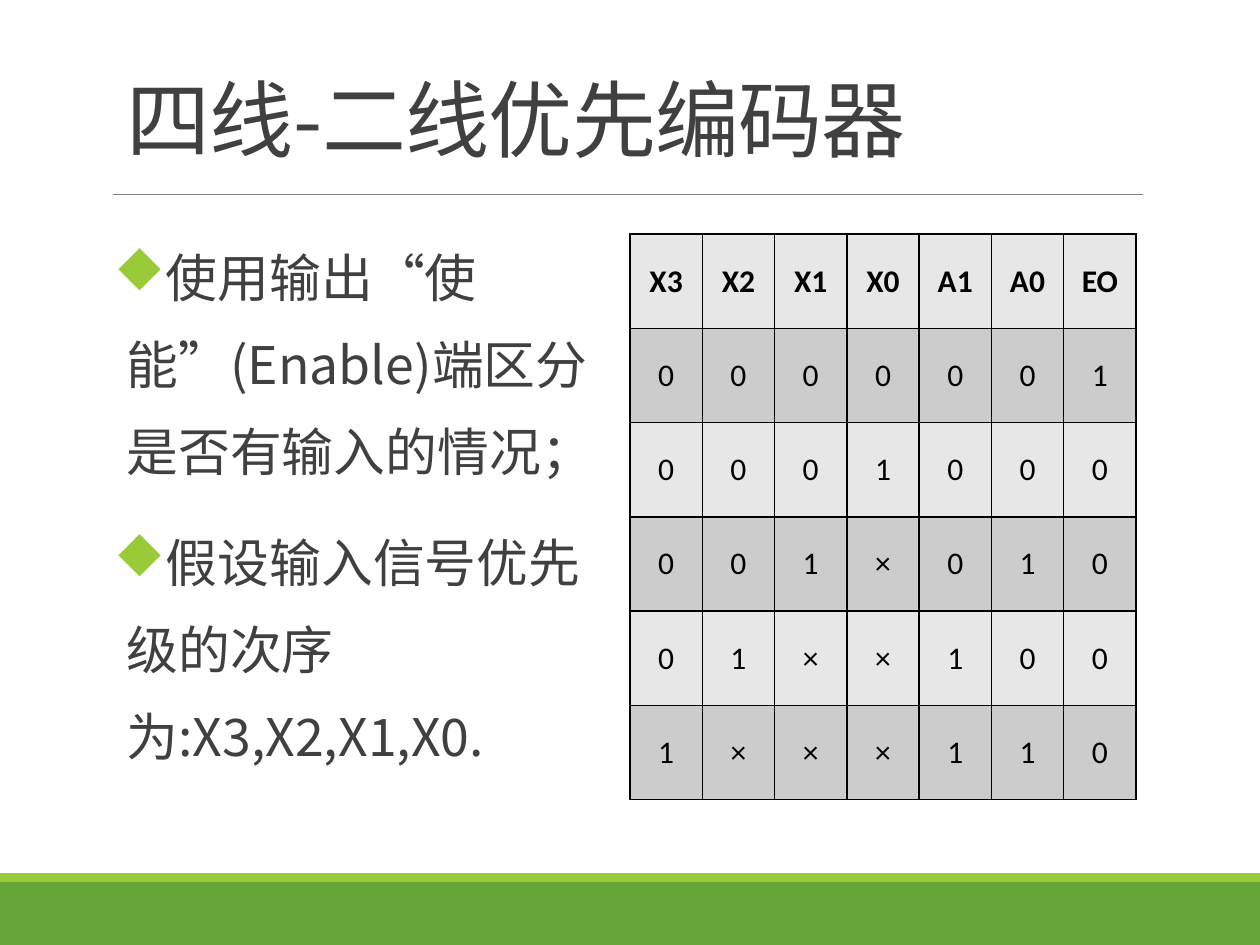
from lxml import etree
from pptx import Presentation
from pptx.dml.color import RGBColor
from pptx.enum.shapes import MSO_CONNECTOR, MSO_SHAPE
from pptx.enum.text import MSO_ANCHOR as ANCHOR, PP_ALIGN as ALIGN
from pptx.oxml.ns import qn
from pptx.util import Cm, Pt

# Content
TITLE = "四线-二线优先编码器"
POINTS = [
    "使用输出“使能”(Enable)端区分是否有输入的情况；",
    "假设输入信号优先级的次序为:X3,X2,X1,X0.",
]
TRUTH_TABLE = [
    "X3 X2 X1 X0 A1 A0 EO",
    "0 0 0 0 0 0 1",
    "0 0 0 1 0 0 0",
    "0 0 1 × 0 1 0",
    "0 1 × × 1 0 0",
    "1 × × × 1 1 0",
]
CJK, LATIN = "Noto Sans CJK SC", "Calibri"
GREEN, LIME, TEXT = "63A537", "99CB38", "404040"
BANDS = ["E7E7E7", "CCCCCC"]


def color(value):
    return RGBColor.from_string(value)


def sub(parent, tag, **attrs):
    return etree.SubElement(parent, qn(tag), attrs)


def style(p, size, font, value, bold=False):
    for r in p.runs:
        r.font.size, r.font.name, r.font.bold = Pt(size), font, bold
        r.font.color.rgb = color(value)
        sub(r._r.get_or_add_rPr(), "a:ea", typeface=font)


def add_band(slide, top, height, value):
    sp = slide.shapes.add_shape(MSO_SHAPE.RECTANGLE, 0, Cm(top), Cm(25.4), Cm(height))
    sp.shadow.inherit = False
    sp.fill.solid()
    sp.fill.fore_color.rgb = color(value)
    sp.line.fill.background()


def add_text(slide, left, top, width, height):
    tf = slide.shapes.add_textbox(Cm(left), Cm(top), Cm(width), Cm(height)).text_frame
    tf.word_wrap = True
    return tf


def add_bullet(p):
    pPr = p._p.get_or_add_pPr()
    pPr.set("marL", str(Cm(0.25)))
    pPr.set("indent", str(-Cm(0.25)))
    sub(sub(pPr, "a:buClr"), "a:srgbClr", val=LIME)
    # In this symbol font the letter u is a solid diamond
    sub(pPr, "a:buFont", typeface="Wingdings", pitchFamily="2", charset="2")
    sub(pPr, "a:buChar", char="u")


def add_borders(cell):
    tcPr = cell._tc.get_or_add_tcPr()
    for i, side in enumerate(("a:lnL", "a:lnR", "a:lnT", "a:lnB")):
        ln = etree.Element(qn(side), w=str(Pt(1)))
        sub(sub(ln, "a:solidFill"), "a:srgbClr", val="000000")
        tcPr.insert(i, ln)


prs = Presentation()
prs.slide_width, prs.slide_height = Cm(25.4), Cm(19.05)
s = prs.slides.add_slide(prs.slide_layouts[6])

# Footer bands and title rule
add_band(s, 17.78, 1.27, GREEN)
add_band(s, 17.6, 0.18, LIME)
rule = s.shapes.add_connector(MSO_CONNECTOR.STRAIGHT, Cm(2.28), Cm(3.92), Cm(23.04), Cm(3.92))
rule.line.color.rgb = color("808080")
rule.line.width = Pt(0.5)
sub(rule._element.spPr, "a:effectLst")

# Title
tf = add_text(s, 2.3, 0.79, 20.95, 2.74)
tf.vertical_anchor = ANCHOR.BOTTOM
tf.text = TITLE
p = tf.paragraphs[0]
p.line_spacing = 0.85
style(p, 48, CJK, TEXT)
p.runs[0]._r.rPr.set("spc", "-50")

# Bullet points
tf = add_text(s, 2.3, 4.32, 9.8, 11.4)
tf.margin_left = tf.margin_right = 0
tf.text = "\n".join(POINTS)
for i, p in enumerate(tf.paragraphs):
    add_bullet(p)
    p.line_spacing = 1.4
    p.space_before, p.space_after = Pt(12 if i else 0), Pt(2)
    style(p, 29.6, CJK, TEXT)

# Truth table
rows = [line.split() for line in TRUTH_TABLE]
table = s.shapes.add_table(len(rows), len(rows[0]), Cm(12.7), Cm(4.72),
                           Cm(10.2), Cm(11.4)).table
for i, row in enumerate(rows):
    for j, value in enumerate(row):
        cell = table.cell(i, j)
        cell.text = value
        cell.vertical_anchor = ANCHOR.MIDDLE
        cell.fill.solid()
        cell.fill.fore_color.rgb = color(BANDS[i % 2])
        add_borders(cell)
        p = cell.text_frame.paragraphs[0]
        p.alignment = ALIGN.CENTER
        style(p, 18, LATIN, "000000", bold=i == 0)

prs.save("out.pptx")
